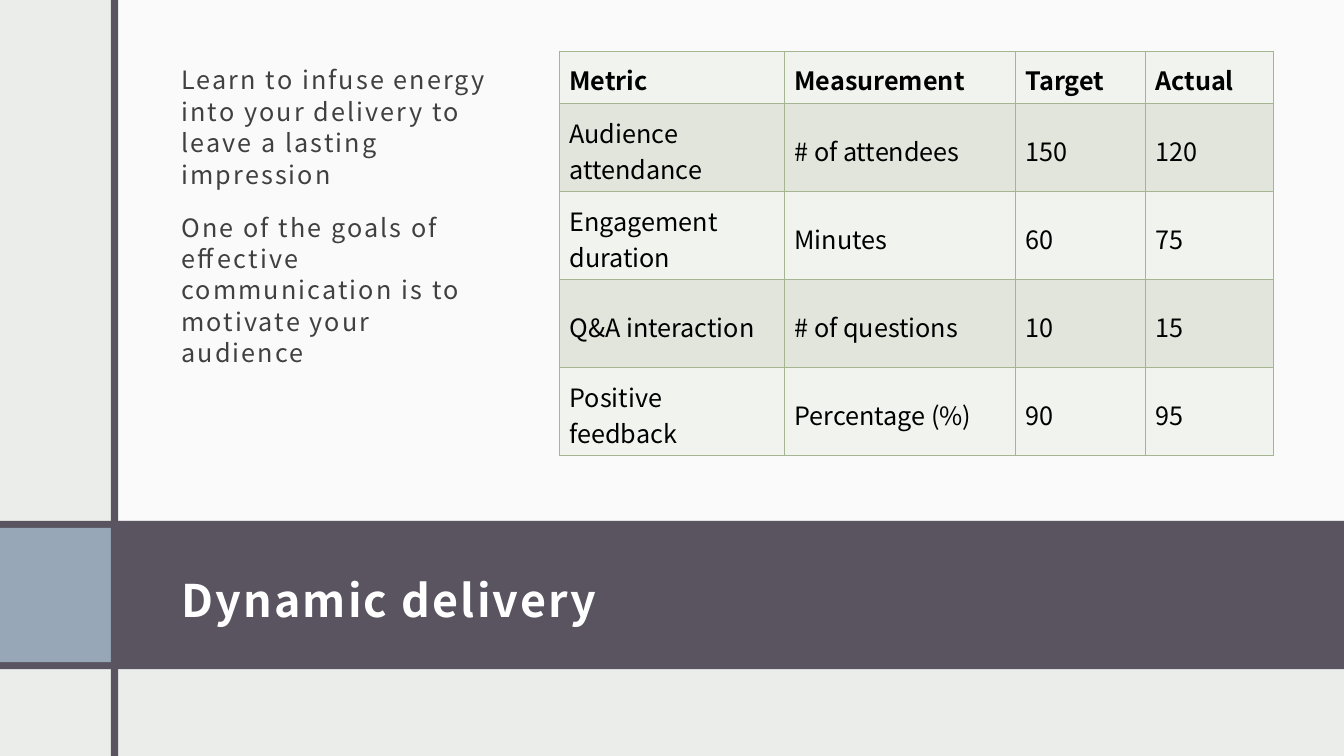
import dataclasses
import typing

import lxml.etree
import pptx
import pptx.dml.color
import pptx.enum.shapes
import pptx.enum.text
import pptx.oxml.ns
import pptx.util

Pt = pptx.util.Pt
FONT = "Noto Sans CJK JP"
SLATE, LEAF = "595460", "A5B592"
SLIDE_WIDTH, SLIDE_HEIGHT = 960, 540


@dataclasses.dataclass
class Panel:
    left: float
    top: float
    width: float
    height: float
    fill: str
    opacity: int = 100


@dataclasses.dataclass
class TextStyle:
    size: float
    color: str
    bold: bool = False
    tracking: float = 0


PANELS = [
    Panel(82, 0, 878, 372, "FFFFFF", 75),
    Panel(0, 372, SLIDE_WIDTH, 106, SLATE),
    Panel(0, 377, 79.2, 96, "97A7B8"),
    Panel(79.2, 0, 5.2, SLIDE_HEIGHT, SLATE),
]
TITLE_STYLE = TextStyle(32, "FFFFFF", True, 1.5)
BODY_STYLE = TextStyle(18, "404040", False, 1.5)
HEADER_STYLE = TextStyle(18, "000000", True)
CELL_STYLE = TextStyle(18, "000000")

BODY = [
    "Learn to infuse energy into your delivery to leave a lasting impression",
    "One of the goals of effective communication is to motivate your audience",
]
METRICS = [
    ["Metric", "Measurement", "Target", "Actual"],
    ["Audience attendance", "# of attendees", "150", "120"],
    ["Engagement duration", "Minutes", "60", "75"],
    ["Q&A interaction", "# of questions", "10", "15"],
    ["Positive feedback", "Percentage (%)", "90", "95"],
]
COLUMN_WIDTHS = [160.7, 165, 92.8, 91.5]
HEADER_HEIGHT, ROW_HEIGHT = 37.5, 62.8
ROW_FILLS = ["F0F3EE", "E1E5DC"]


def rgb(color: str) -> pptx.dml.color.RGBColor:
    return pptx.dml.color.RGBColor.from_string(color)


def apply(target: typing.Any, values: dict[str, typing.Any]) -> None:
    for name, value in values.items():
        setattr(target, name, value)


def add_element(parent: typing.Any, tag: str, **attributes: str) -> typing.Any:
    return lxml.etree.SubElement(parent, pptx.oxml.ns.qn(tag), attributes)


def paint(fill: typing.Any, color: str) -> None:
    fill.solid()
    fill.fore_color.rgb = rgb(color)


def write(paragraph: typing.Any, text: str, style: TextStyle) -> None:
    run = paragraph.add_run()
    run.text = text
    apply(run.font, {"name": FONT, "size": Pt(style.size), "bold": style.bold})
    run.font.color.rgb = rgb(style.color)
    if style.tracking:
        run.font._element.set("spc", str(round(style.tracking * 100)))


def draw_panel(slide: typing.Any, panel: Panel) -> None:
    shape = slide.shapes.add_shape(
        pptx.enum.shapes.MSO_SHAPE.RECTANGLE,
        Pt(panel.left), Pt(panel.top), Pt(panel.width), Pt(panel.height))
    shape.shadow.inherit = False
    shape.line.fill.background()
    paint(shape.fill, panel.fill)
    if panel.opacity < 100:
        color = shape.element.spPr.find(".//" + pptx.oxml.ns.qn("a:srgbClr"))
        add_element(color, "a:alpha", val=str(panel.opacity * 1000))


def fill_placeholder(shape: typing.Any, box: dict[str, float], frame: dict[str, typing.Any],
                     texts: list[str], style: TextStyle, spacing: dict[str, typing.Any]) -> None:
    apply(shape, {name: Pt(value) for name, value in box.items()})
    apply(shape.text_frame, {
        "margin_left": Pt(8.64), "margin_right": Pt(8.64), "margin_bottom": Pt(7.2),
        "word_wrap": True, "auto_size": pptx.enum.text.MSO_AUTO_SIZE.NONE, **frame})
    for index, text in enumerate(texts):
        paragraph = shape.text_frame.add_paragraph() if index else shape.text_frame.paragraphs[0]
        apply(paragraph, {"alignment": pptx.enum.text.PP_ALIGN.LEFT, **spacing})
        properties = paragraph._p.get_or_add_pPr()
        properties.set("marL", "0")
        properties.set("indent", "0")
        add_element(properties, "a:buNone")
        write(paragraph, text, style)
    # Bring the placeholder in front of the panels
    shape.element.getparent().append(shape.element)


def format_cell(cell: typing.Any, text: str, style: TextStyle, fill: str) -> None:
    apply(cell, {
        "margin_left": Pt(7.2), "margin_right": Pt(7.2), "margin_top": Pt(7.2),
        "margin_bottom": Pt(3.6), "vertical_anchor": pptx.enum.text.MSO_ANCHOR.MIDDLE})
    write(cell.text_frame.paragraphs[0], text, style)
    properties = cell._tc.get_or_add_tcPr()
    for side in ("a:lnL", "a:lnR", "a:lnT", "a:lnB"):
        border = add_element(properties, side, w=str(Pt(1)))
        add_element(add_element(border, "a:solidFill"), "a:srgbClr", val=LEAF)
    paint(cell.fill, fill)


def draw_table(slide: typing.Any) -> None:
    heights = [HEADER_HEIGHT] + [ROW_HEIGHT] * (len(METRICS) - 1)
    table = slide.shapes.add_table(
        len(METRICS), len(COLUMN_WIDTHS), Pt(399.6), Pt(36.6),
        Pt(sum(COLUMN_WIDTHS)), Pt(sum(heights))).table
    for column, width in zip(table.columns, COLUMN_WIDTHS):
        column.width = Pt(width)
    for index, (row, height) in enumerate(zip(table.rows, heights)):
        row.height = Pt(height)
        style = CELL_STYLE if index else HEADER_STYLE
        for cell, text in zip(row.cells, METRICS[index]):
            format_cell(cell, text, style, ROW_FILLS[index % 2])


def main() -> None:
    presentation = pptx.Presentation()
    apply(presentation, {"slide_width": Pt(SLIDE_WIDTH), "slide_height": Pt(SLIDE_HEIGHT)})
    slide = presentation.slides.add_slide(presentation.slide_layouts[1])

    # Background and panels
    paint(slide.background.fill, "EBEDEB")
    for panel in PANELS:
        draw_panel(slide, panel)

    # Title and body text
    title, body = slide.shapes.title, slide.placeholders[1]
    fill_placeholder(
        title, {"left": 121, "top": 384, "width": 788.4, "height": 81.4},
        {"margin_top": Pt(14.4), "vertical_anchor": pptx.enum.text.MSO_ANCHOR.MIDDLE},
        ["Dynamic delivery"], TITLE_STYLE, {})
    fill_placeholder(
        body, {"left": 121, "top": 36.7, "width": 244, "height": 304.6},
        {"margin_top": Pt(8.64), "vertical_anchor": pptx.enum.text.MSO_ANCHOR.TOP},
        BODY, BODY_STYLE,
        {"line_spacing": 1.04, "space_before": Pt(9.3), "space_after": Pt(6)})

    # Metrics table
    draw_table(slide)
    presentation.save("out.pptx")


if __name__ == "__main__":
    main()
